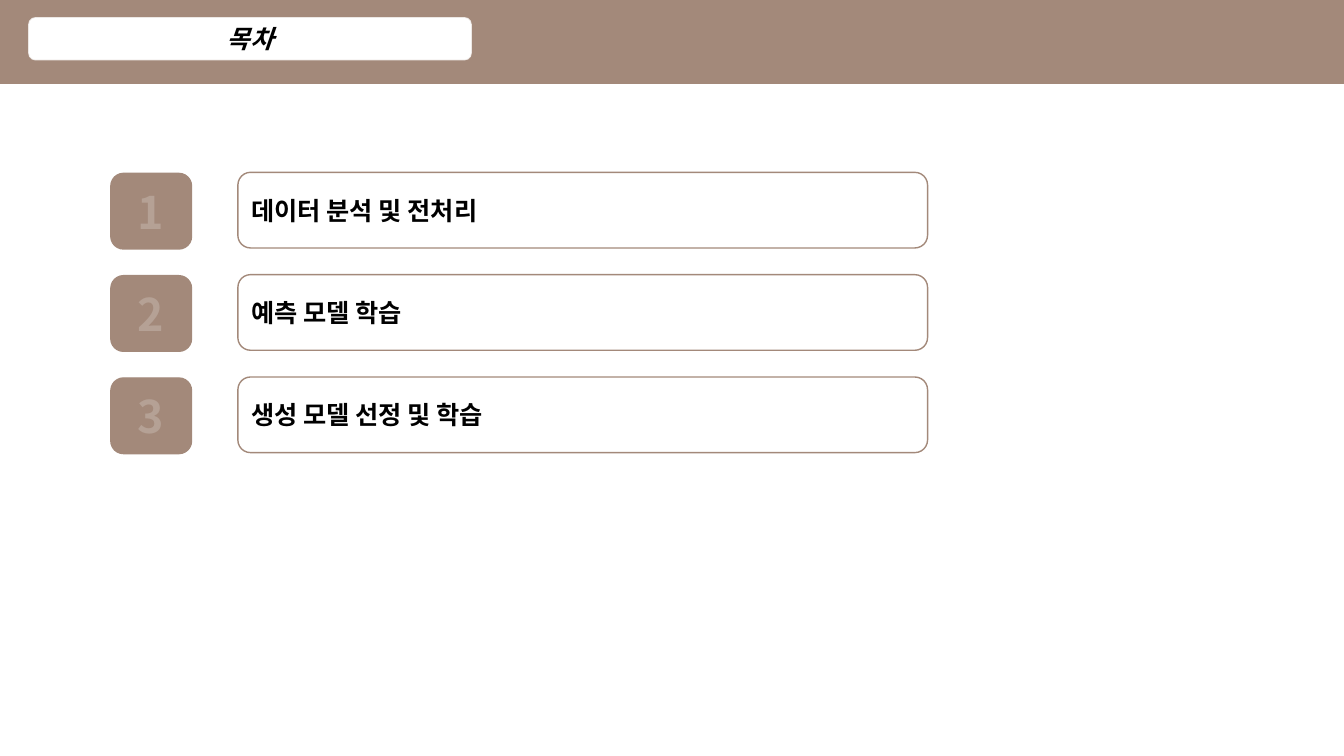
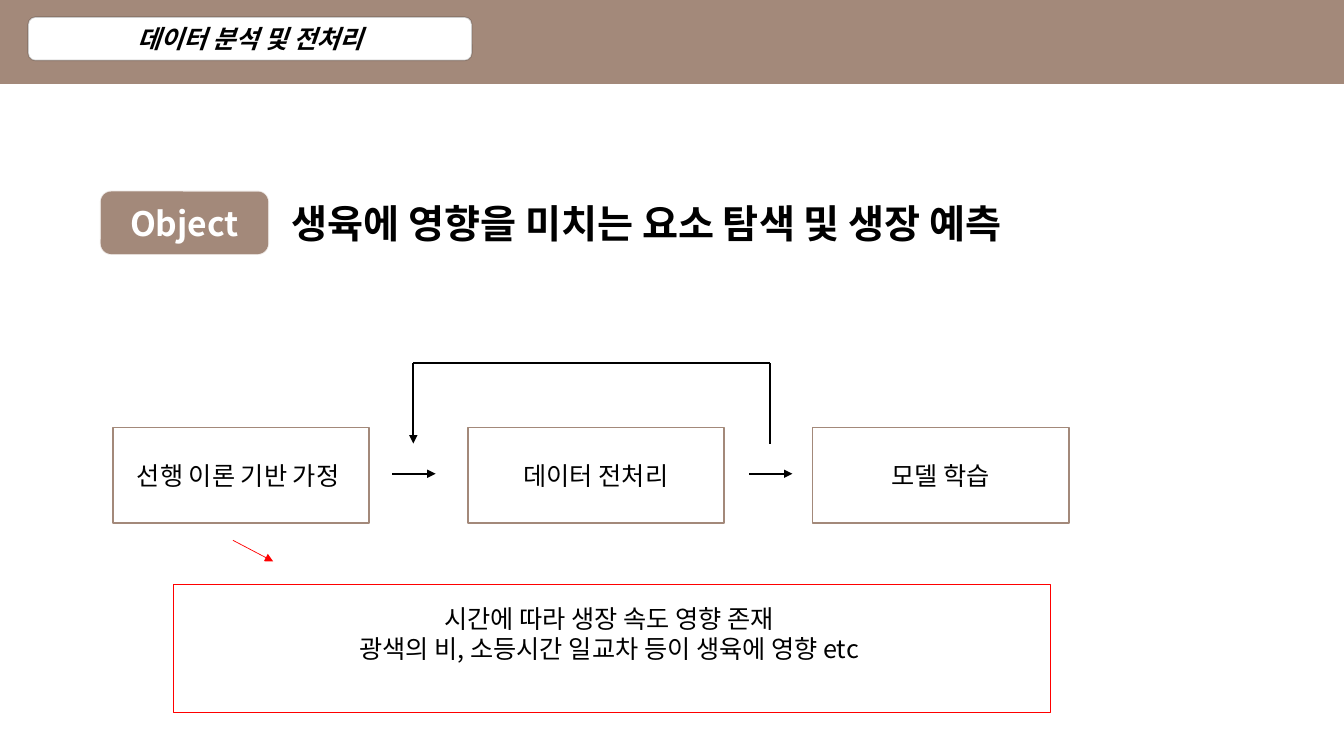
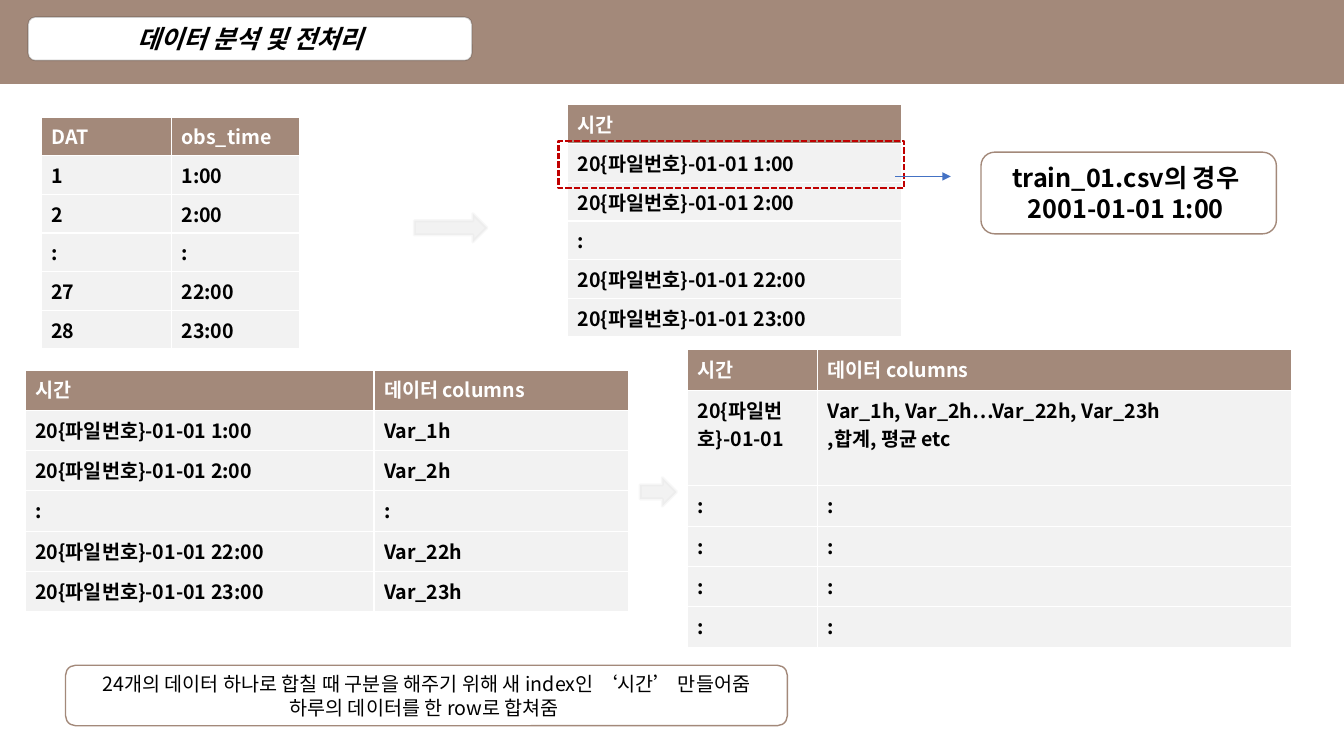
from lxml.etree import SubElement
from pptx import Presentation
from pptx.dml.color import RGBColor
from pptx.enum.dml import MSO_LINE
from pptx.enum.shapes import MSO_CONNECTOR, MSO_SHAPE
from pptx.enum.text import MSO_ANCHOR, PP_ALIGN
from pptx.oxml.ns import qn
from pptx.util import Inches, Pt

FONT = "Noto Sans CJK KR"
HUES = {
    "brown": "A3897A",
    "pale": "B5A195",
    "white": "FFFFFF",
    "black": "000000",
    "gray": "F2F2F2",
    "edge": "D9D9D9",
    "red": "FF0000",
    "dark": "C00000",
    "blue": "4472C4",
}
RECT = MSO_SHAPE.RECTANGLE
ROUND = MSO_SHAPE.ROUNDED_RECTANGLE
ARROW = MSO_SHAPE.RIGHT_ARROW
LEFT = PP_ALIGN.LEFT
CENTER = PP_ALIGN.CENTER
STEP = "데이터 분석 및 전처리"
DATE = "20{파일번호}-01-01"
HOURS = ["1:00", "2:00", ":", "22:00", "23:00"]
TIMES = [":" if hour == ":" else f"{DATE} {hour}" for hour in HOURS]


def hue(name):
    return RGBColor.from_string(HUES[name])


def write(frame, lines, size, color="black", bold=False, slant=False, align=LEFT):
    frame.word_wrap = True
    for i, line in enumerate(lines):
        para = frame.paragraphs[0] if i == 0 else frame.add_paragraph()
        para.alignment = align
        run = para.add_run()
        run.text = line
        font = run.font
        font.size = Pt(size)
        font.bold = bold
        font.italic = slant
        font.color.rgb = hue(color)
        font.name = FONT
        SubElement(font._element, qn("a:ea")).set("typeface", FONT)


def box(slide, kind, at, fill="white", line="brown", width=1, clear=None):
    shape = slide.shapes.add_shape(kind, *map(Inches, at))
    shape.shadow.inherit = False
    if fill:
        shape.fill.solid()
        shape.fill.fore_color.rgb = hue(fill)
    else:
        shape.fill.background()
    shape.line.color.rgb = hue(line)
    shape.line.width = Pt(width)
    if clear:
        for node in shape._element.spPr.xpath("./a:ln//a:srgbClr"):
            SubElement(node, qn("a:alpha")).set("val", str(clear * 1000))
    shape.text_frame.vertical_anchor = MSO_ANCHOR.MIDDLE
    return shape


def link(slide, start, end, color="black", width=1.25, head=True):
    line = slide.shapes.add_connector(
        MSO_CONNECTOR.STRAIGHT, *map(Inches, (*start, *end))
    )
    line.line.color.rgb = hue(color)
    line.line.width = Pt(width)
    if head:
        SubElement(line.line._get_or_add_ln(), qn("a:tailEnd")).set("type", "triangle")
    SubElement(line._element.spPr, qn("a:effectLst"))


def grid(slide, left, top, widths, heights, rows):
    size = left, top, sum(widths), sum(heights)
    table = slide.shapes.add_table(
        len(rows), len(widths), *map(Inches, size)
    ).table
    table.horz_banding = False
    for col, width in zip(table.columns, widths):
        col.width = Inches(width)
    for r, (row, height) in enumerate(zip(rows, heights)):
        table.rows[r].height = Inches(height)
        for c, text in enumerate(row):
            cell = table.cell(r, c)
            cell.fill.solid()
            cell.fill.fore_color.rgb = hue("gray" if r else "brown")
            color = "black" if r else "white"
            write(cell.text_frame, text.split("\n"), 14, color, bold=True)


def page(deck, title, edge="black"):
    slide = deck.slides.add_slide(deck.slide_layouts[6])
    box(slide, RECT, (0, 0.01, 13.33, 0.81), "brown", width=1.5)
    pill = box(slide, ROUND, (0.28, 0.17, 4.4, 0.43), line=edge, clear=20)
    write(pill.text_frame, [title], 18, bold=True, slant=True, align=CENTER)
    return slide


def agenda(deck):
    slide = page(deck, "목차", "brown")
    items = [STEP, "예측 모델 학습", "생성 모델 선정 및 학습"]
    for i, item in enumerate(items):
        top = 1.71 + 1.015 * i
        badge = box(slide, ROUND, (1.1, top + 0.01, 0.8, 0.75), "brown")
        write(badge.text_frame, [str(i + 1)], 32, "pale", bold=True, align=CENTER)
        bar = box(slide, ROUND, (2.36, top, 6.84, 0.75))
        write(bar.text_frame, [item], 18, bold=True)


def process(deck):
    slide = page(deck, STEP)
    tag = box(slide, ROUND, (1, 1.9, 1.66, 0.62), "brown", width=1.25, clear=20)
    write(tag.text_frame, ["Object"], 24, "white", bold=True, align=CENTER)
    goal = slide.shapes.add_textbox(*map(Inches, (2.79, 1.98, 10.5, 0.81)))
    write(goal.text_frame, ["생육에 영향을 미치는 요소 탐색 및 생장 예측"], 28, bold=True)
    goal.text_frame.paragraphs[0].line_spacing = 0.9

    stages = [(1.12, "선행 이론 기반 가정 "), (4.64, "데이터 전처리"), (8.06, "모델 학습")]
    for left, text in stages:
        stage = box(slide, RECT, (left, 4.24, 2.54, 0.95), width=1.25)
        write(stage.text_frame, [text], 18, align=CENTER)
    for left in (3.89, 7.43):
        link(slide, (left, 4.7), (left + 0.43, 4.7))
    loop = [(7.64, 4.4), (7.64, 3.6), (4.1, 3.6), (4.1, 4.4)]
    for start, end in zip(loop, loop[1:]):
        link(slide, start, end, head=end == loop[-1])

    note = box(slide, RECT, (1.72, 5.8, 8.7, 1.27), line="red", width=1.25)
    note.text_frame.margin_bottom = Inches(0.35)
    lines = [
        "시간에 따라 생장 속도 영향 존재 ",
        "광색의 비, 소등시간 일교차 등이 생육에 영향 etc ",
    ]
    write(note.text_frame, lines, 18, align=CENTER)
    link(slide, (2.31, 5.36), (2.71, 5.57), "red", 0.5)


def tables(deck):
    slide = page(deck, STEP)
    days = ["1", "2", ":", "27", "28"]
    names = ["Var_1h", "Var_2h", ":", "Var_22h", "Var_23h"]
    heads = ("시간", "데이터 columns ")
    merged = (DATE, "Var_1h, Var_2h…Var_22h, Var_23h\n,합계, 평균 etc")

    grid(slide, 0.41, 1.16, [1.29, 1.27], [0.38] * 6,
         [("DAT", "obs_time"), *zip(days, HOURS)])
    grid(slide, 5.63, 1.04, [3.31], [0.38] * 6,
         [("시간",), *zip(TIMES)])
    grid(slide, 0.25, 3.67, [3.46, 2.52], [0.4] * 6,
         [heads, *zip(TIMES, names)])
    grid(slide, 6.82, 3.47, [1.29, 4.7], [0.4, 0.95, 0.4, 0.4, 0.4, 0.4],
         [heads, merged] + [(":", ":")] * 4)

    for at in ((4.11, 2.12, 0.72, 0.28), (6.35, 4.74, 0.36, 0.28)):
        box(slide, ARROW, at, "gray", "edge", 2.25, 20)
    frame = box(slide, RECT, (5.54, 1.4, 3.43, 0.47), None, "dark", 1.5)
    frame.line.dash_style = MSO_LINE.SQUARE_DOT
    link(slide, (8.88, 1.75), (9.43, 1.75), "blue", 0.5)

    case = box(slide, ROUND, (9.73, 1.51, 2.93, 0.81))
    lines = ["train_01.csv의 경우 ", "2001-01-01 1:00 "]
    write(case.text_frame, lines, 18, bold=True, align=CENTER)
    note = box(slide, ROUND, (0.65, 6.6, 7.16, 0.6), None)
    lines = [
        "24개의 데이터 하나로 합칠 때 구분을 해주기 위해 새 index인 ‘시간’ 만들어줌",
        "하루의 데이터를 한 row로 합쳐줌 ",
    ]
    write(note.text_frame, lines, 14, align=CENTER)


def main():
    deck = Presentation()
    deck.slide_width = Inches(13.33)
    deck.slide_height = Inches(7.5)
    agenda(deck)
    process(deck)
    tables(deck)
    deck.save("out.pptx")


main()
